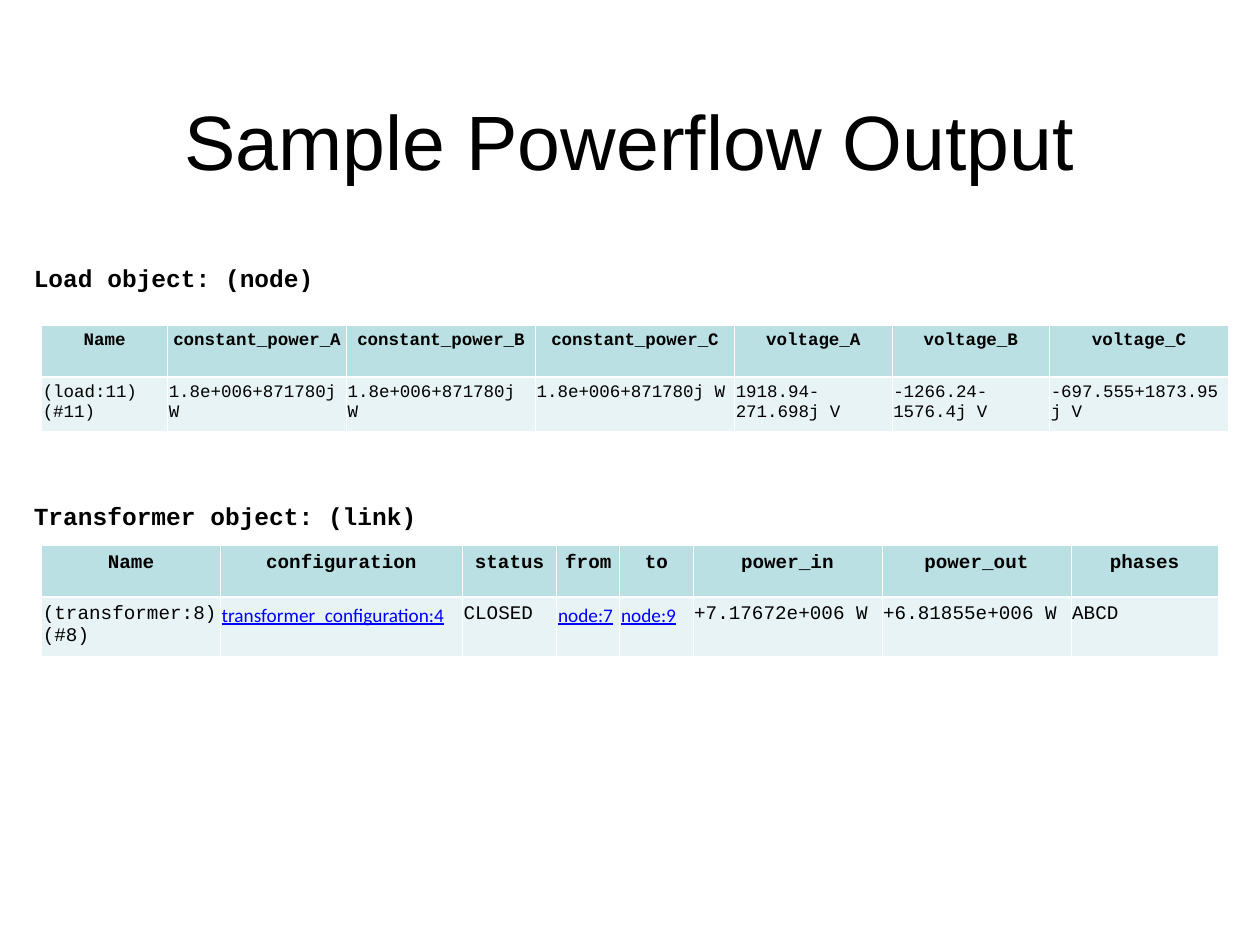
from dataclasses import dataclass

from lxml import etree
from pptx import Presentation
from pptx.dml.color import RGBColor
from pptx.enum.text import MSO_ANCHOR, PP_ALIGN
from pptx.oxml.ns import qn
from pptx.util import Inches, Pt

LEFT, CENTER = PP_ALIGN.LEFT, PP_ALIGN.CENTER
TOP, MIDDLE = MSO_ANCHOR.TOP, MSO_ANCHOR.MIDDLE


@dataclass(frozen=True)
class Theme:
    sans: str = "Arial"
    mono: str = "Courier New"
    link_font: str = "Calibri"
    text: str = "000000"
    link: str = "0000FF"
    header_fill: str = "BBE0E3"
    row_fill: str = "E7F3F4"
    border: str = "FFFFFF"
    title_size: float = 44
    heading_size: float = 14
    thin: float = 0.45
    thick: float = 1.47


THEME = Theme()


@dataclass(frozen=True)
class Column:
    name: str
    value: str
    width: float
    is_link: bool = False


@dataclass(frozen=True)
class ObjectTable:
    left: float
    top: float
    size: float
    columns: tuple[Column, ...]


HEADER_HEIGHT, ROW_HEIGHT = 0.41, 0.4
POWER = "1.8e+006+871780j W"

LOAD = ObjectTable(0.33, 2.58, 10, (
    Column("Name", "(load:11) (#11)", 1),
    Column("constant_power_A", POWER, 1.42),
    Column("constant_power_B", POWER, 1.5),
    Column("constant_power_C", POWER, 1.58),
    Column("voltage_A", "1918.94-271.698j V", 1.25),
    Column("voltage_B", "-1266.24-1576.4j V", 1.25),
    Column("voltage_C", "-697.555+1873.95j V", 1.42),
))
TRANSFORMER = ObjectTable(0.33, 4.33, 11, (
    Column("Name", "(transformer:8) (#8)", 1.42),
    Column("configuration", "transformer_configuration:4", 1.92, True),
    Column("status", "CLOSED", 0.75),
    Column("from", "node:7", 0.5, True),
    Column("to", "node:9", 0.58, True),
    Column("power_in", "+7.17672e+006 W", 1.5),
    Column("power_out", "+6.81855e+006 W", 1.5),
    Column("phases", "ABCD", 1.17),
))


def write(p, text: str, *, size: float, font: str = THEME.mono,
          color: str = THEME.text, bold: bool = False,
          underline: bool = False, align=LEFT) -> None:
    p.alignment = align
    r = p.add_run()
    r.text = text
    f = r.font
    f.name, f.size, f.bold, f.underline = font, Pt(size), bold, underline
    f.color.rgb = RGBColor.from_string(color)


def add_box(s, left: float, top: float, width: float, height: float, anchor=TOP):
    sp = s.shapes.add_textbox(Inches(left), Inches(top), Inches(width), Inches(height))
    tf = sp.text_frame
    tf.word_wrap = True
    tf.vertical_anchor = anchor
    return tf


def style_cell(cell, fill: str, top_line: float, bottom_line: float) -> None:
    cell.margin_left = cell.margin_right = Inches(0.01)
    cell.margin_top = cell.margin_bottom = Inches(0.05)
    tc_pr = cell._tc.get_or_add_tcPr()
    # Borders come before the fill in the cell properties
    for side, width in (("L", THEME.thin), ("R", THEME.thin),
                        ("T", top_line), ("B", bottom_line)):
        ln = etree.SubElement(tc_pr, qn(f"a:ln{side}"), w=str(int(Pt(width))))
        solid = etree.SubElement(ln, qn("a:solidFill"))
        etree.SubElement(solid, qn("a:srgbClr"), val=THEME.border)
    cell.fill.solid()
    cell.fill.fore_color.rgb = RGBColor.from_string(fill)


def add_object_table(s, spec: ObjectTable) -> None:
    width = sum(c.width for c in spec.columns)
    frame = s.shapes.add_table(2, len(spec.columns), Inches(spec.left), Inches(spec.top),
                               Inches(width), Inches(HEADER_HEIGHT + ROW_HEIGHT))
    table = frame.table
    table.rows[0].height = Inches(HEADER_HEIGHT)
    table.rows[1].height = Inches(ROW_HEIGHT)
    for i, column in enumerate(spec.columns):
        table.columns[i].width = Inches(column.width)
        header, value = table.cell(0, i), table.cell(1, i)
        style_cell(header, THEME.header_fill, THEME.thin, THEME.thick)
        style_cell(value, THEME.row_fill, THEME.thick, THEME.thin)
        write(header.text_frame.paragraphs[0], column.name,
              size=spec.size, bold=True, align=CENTER)
        write(value.text_frame.paragraphs[0], column.value, size=spec.size,
              font=THEME.link_font if column.is_link else THEME.mono,
              color=THEME.link if column.is_link else THEME.text,
              underline=column.is_link)


def main() -> None:
    prs = Presentation()
    prs.slide_width, prs.slide_height = Inches(10), Inches(7.5)
    s = prs.slides.add_slide(prs.slide_layouts[6])

    # Title
    tf = add_box(s, 0.5, 0.67, 9, 0.88, MIDDLE)
    write(tf.paragraphs[0], "Sample Powerflow Output",
          size=THEME.title_size, font=THEME.sans, align=CENTER)

    # Section headings, spaced to leave room for the first table
    tf = add_box(s, 0.17, 2.08, 9.83, 3.25)
    load_heading, transformer_heading = tf.paragraphs[0], tf.add_paragraph()
    transformer_heading.space_before = Pt(122.5)
    for p, text in ((load_heading, "Load object: (node)"),
                    (transformer_heading, "Transformer object: (link)")):
        p.line_spacing = 0.8
        write(p, text, size=THEME.heading_size, bold=True)

    # Tables
    for spec in (LOAD, TRANSFORMER):
        add_object_table(s, spec)

    prs.save("out.pptx")


if __name__ == "__main__":
    main()
